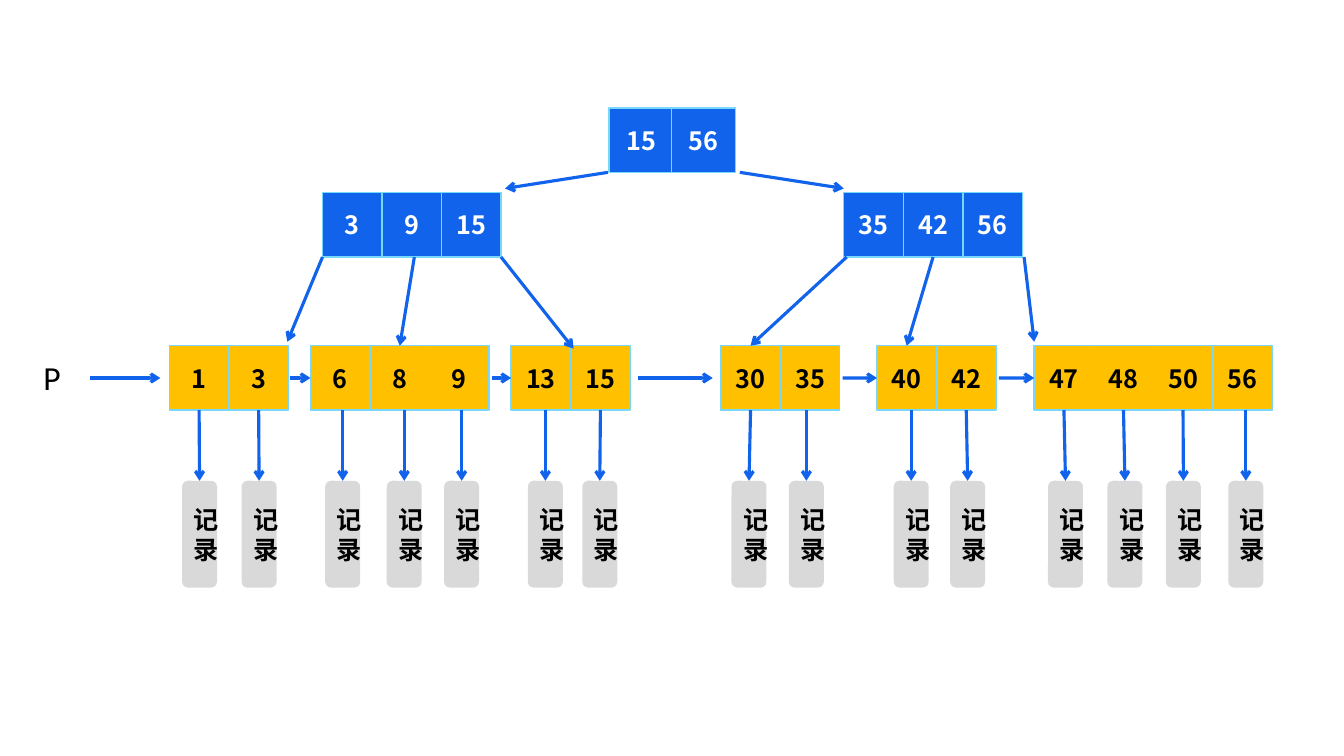
import dataclasses
import typing

import lxml.etree
import pptx
import pptx.dml.color
import pptx.enum.shapes
import pptx.enum.text
import pptx.oxml.ns
import pptx.util

SLIDE_WIDTH = pptx.util.Inches(13.33)
SLIDE_HEIGHT = pptx.util.Inches(7.5)
COLUMN = SLIDE_WIDTH / 100
ROW = SLIDE_HEIGHT / 100

BLUE, AMBER, CYAN, GREY = "1163EB", "FFC000", "79D7F9", "D9D9D9"
WHITE, BLACK = "FFFFFF", "000000"
KEY_FONT, POINTER_FONT = "Noto Sans CJK SC", "Calibri"

KEY_HEIGHT = 8.53
KEY_PITCH = 4.43
ROOT_ROW, INNER_ROW, LEAF_ROW = 14.27, 25.47, 45.73
CHAIN_ROW = 50
RECORD_ROW, RECORD_WIDTH, RECORD_HEIGHT = 63.6, 2.6, 14.13
JOIN_REACH = 0.12 * COLUMN

Shape = typing.Any
Point = tuple[float, float]


@dataclasses.dataclass(frozen=True)
class Node:
    column: float
    row: float
    keys: tuple[int, ...]
    fill: str = BLUE
    ink: str = WHITE
    key_width: float = KEY_PITCH
    pitch: float = KEY_PITCH
    record_columns: tuple[float, ...] = ()


@dataclasses.dataclass(frozen=True)
class Arrow:
    start: Point
    end: Point


def leaf(column: float, keys: tuple[int, ...], record_columns: tuple[float, ...]) -> Node:
    return Node(column, LEAF_ROW, keys, AMBER, BLACK, record_columns=record_columns)


NODES = (
    Node(45.3, ROOT_ROW, (15, 56), key_width=4.8, pitch=4.65),
    Node(24, INNER_ROW, (3, 9, 15)),
    Node(62.78, INNER_ROW, (35, 42, 56)),
    leaf(12.6, (1, 3), (14.85, 19.28)),
    leaf(23.1, (6, 8, 9), (25.5, 30.08, 34.35)),
    leaf(38.03, (13, 15), (40.58, 44.63)),
    leaf(53.63, (30, 35), (55.73, 60)),
    leaf(65.25, (40, 42), (67.8, 72)),
    leaf(76.95, (47, 48, 50, 56), (79.28, 83.7, 88.05, 92.7)),
)
BRANCHES = (
    Arrow((45.23, 22.8), (37.58, 24.93)),
    Arrow((55.05, 22.8), (62.78, 24.93)),
    Arrow((24, 34), (21.38, 45.2)),
    Arrow((30.83, 34), (29.78, LEAF_ROW)),
    Arrow((37.28, 34), (42.68, 46.13)),
    Arrow((63, 34), (55.8, LEAF_ROW)),
    Arrow((69.38, 34), (67.5, LEAF_ROW)),
    Arrow((76.2, 34), (76.95, 45.2)),
)
CHAIN_SPANS = (
    (6.68, 11.93), (21.6, 23.1), (36.6, 38.03),
    (47.48, 53.03), (62.7, 65.25), (74.33, 76.95),
)
CHAIN = tuple(Arrow((start, CHAIN_ROW), (end, CHAIN_ROW)) for start, end in CHAIN_SPANS)


def color(code: str) -> pptx.dml.color.RGBColor:
    return pptx.dml.color.RGBColor.from_string(code)


def across(columns: float) -> int:
    return round(columns * COLUMN)


def down(rows: float) -> int:
    return round(rows * ROW)


def write(holder: Shape, text: str, *, size: float = 18, font: str = KEY_FONT,
          ink: str = BLACK, bold: bool = True, centered: bool = True) -> None:
    paragraph = holder.text_frame.paragraphs[0]
    if centered:
        paragraph.alignment = pptx.enum.text.PP_ALIGN.CENTER
    run = paragraph.add_run()
    run.text = text
    run.font.size = pptx.util.Pt(size)
    run.font.name = font
    run.font.bold = bold
    run.font.color.rgb = color(ink)
    properties = run.font.color and paragraph.runs[0].font
    east_asian = lxml.etree.SubElement(
        run.element.rPr if hasattr(run, "element") else properties._element,
        pptx.oxml.ns.qn("a:ea"))
    east_asian.set("typeface", font)


def draw_box(shapes: Shape, preset: Shape, column: float, row: float, width: float,
             height: float, fill: str, border: str | None = None) -> Shape:
    box = shapes.add_shape(preset, across(column), down(row), across(width), down(height))
    box.shadow.inherit = False
    box.fill.solid()
    box.fill.fore_color.rgb = color(fill)
    if border:
        box.line.color.rgb = color(border)
        box.line.width = pptx.util.Pt(1)
    else:
        box.line.fill.background()
    box.text_frame.vertical_anchor = pptx.enum.text.MSO_ANCHOR.MIDDLE
    return box


def join(connect: typing.Callable, x: int, y: int, boxes: list[Shape]) -> None:
    for box in boxes:
        middle_x, middle_y = box.left + box.width // 2, box.top + box.height // 2
        sides = (
            (middle_x, box.top),
            (box.left, middle_y),
            (middle_x, box.top + box.height),
            (box.left + box.width, middle_y),
        )
        for site, (side_x, side_y) in enumerate(sides):
            if max(abs(side_x - x), abs(side_y - y)) <= JOIN_REACH:
                connect(box, site)
                return


def draw_arrow(shapes: Shape, arrow: Arrow, boxes: list[Shape]) -> None:
    start = across(arrow.start[0]), down(arrow.start[1])
    end = across(arrow.end[0]), down(arrow.end[1])
    link = shapes.add_connector(pptx.enum.shapes.MSO_CONNECTOR.STRAIGHT, *start, *end)
    link.line.color.rgb = color(BLUE)
    link.line.width = pptx.util.Pt(2.25)
    properties = link._element.spPr
    outline = properties.find(pptx.oxml.ns.qn("a:ln"))
    lxml.etree.SubElement(outline, pptx.oxml.ns.qn("a:tailEnd")).set("type", "arrow")
    lxml.etree.SubElement(properties, pptx.oxml.ns.qn("a:effectLst"))
    join(link.begin_connect, *start, boxes)
    join(link.end_connect, *end, boxes)


def draw_node(shapes: Shape, node: Node) -> list[Shape]:
    group = shapes.add_group_shape()
    cells = []
    for index, key in enumerate(node.keys):
        cell = draw_box(group.shapes, pptx.enum.shapes.MSO_SHAPE.RECTANGLE,
                        node.column + index * node.pitch, node.row,
                        node.key_width, KEY_HEIGHT, node.fill, CYAN)
        write(cell, str(key), ink=node.ink)
        cells.append(cell)
    return cells


def draw_record(shapes: Shape, column: float, cells: list[Shape]) -> None:
    group = shapes.add_group_shape()
    record = draw_box(group.shapes, pptx.enum.shapes.MSO_SHAPE.ROUNDED_RECTANGLE,
                      column - RECORD_WIDTH / 2, RECORD_ROW,
                      RECORD_WIDTH, RECORD_HEIGHT, GREY)
    write(record, "记录")
    pointer = Arrow((column, LEAF_ROW + KEY_HEIGHT), (column, RECORD_ROW))
    draw_arrow(group.shapes, pointer, [*cells, record])


def draw_head_pointer(shapes: Shape) -> None:
    head = shapes.add_textbox(across(2.48), down(46.53), across(3.15), down(6.67))
    head.text_frame.word_wrap = False
    head.text_frame.auto_size = pptx.enum.text.MSO_AUTO_SIZE.SHAPE_TO_FIT_TEXT
    write(head, "P", size=24, font=POINTER_FONT, bold=False, centered=False)


def main() -> None:
    deck = pptx.Presentation()
    deck.slide_width, deck.slide_height = SLIDE_WIDTH, SLIDE_HEIGHT
    shapes = deck.slides.add_slide(deck.slide_layouts[6]).shapes
    cells = [cell for node in NODES for cell in draw_node(shapes, node)]
    for arrow in BRANCHES + CHAIN:
        draw_arrow(shapes, arrow, cells)
    for node in NODES:
        for column in node.record_columns:
            draw_record(shapes, column, cells)
    draw_head_pointer(shapes)
    deck.save("out.pptx")


if __name__ == "__main__":
    main()
